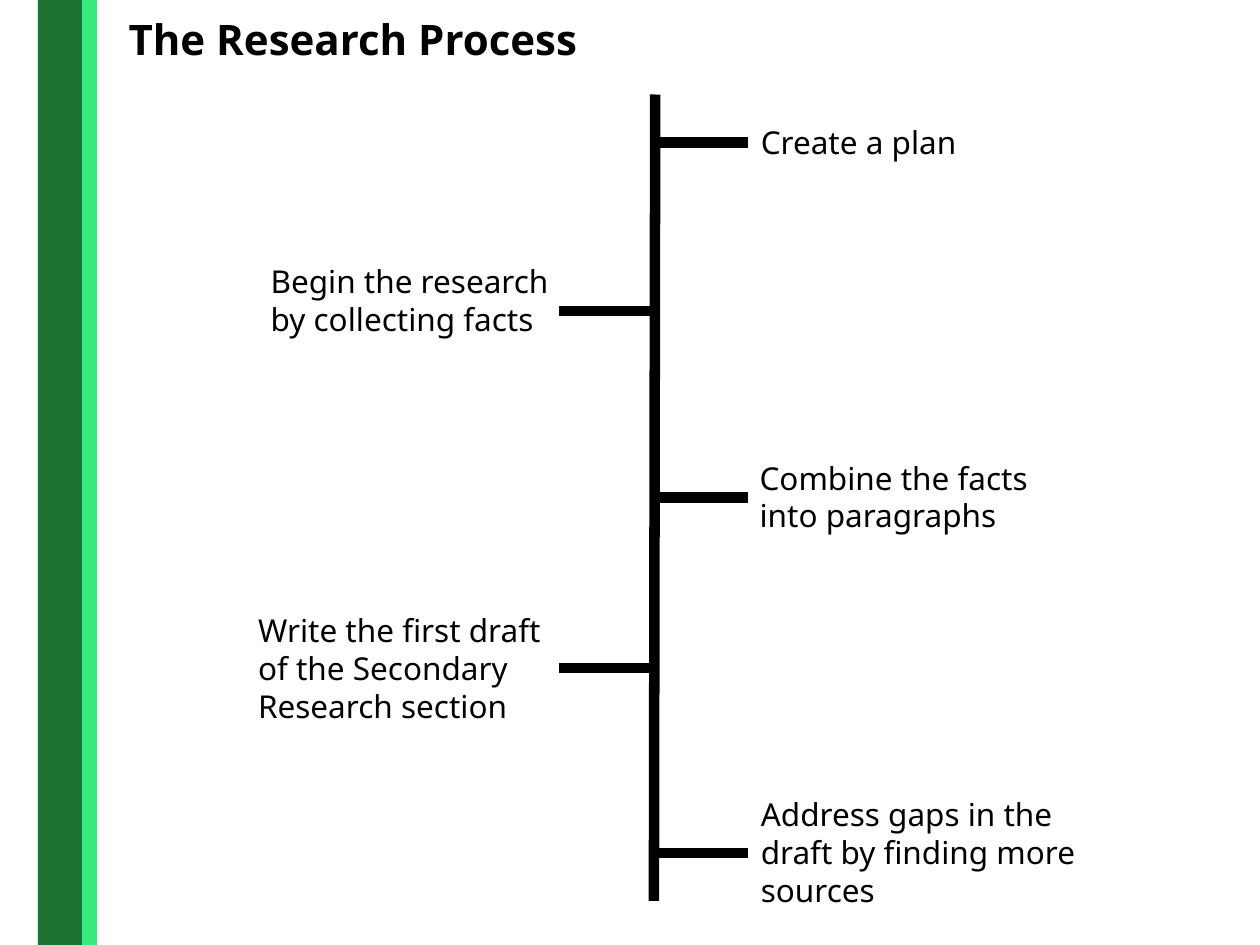
from lxml import etree
from pptx import Presentation
from pptx.dml.color import RGBColor
from pptx.enum.shapes import MSO_CONNECTOR, MSO_SHAPE
from pptx.enum.text import MSO_ANCHOR, MSO_AUTO_SIZE, PP_ALIGN
from pptx.oxml.ns import qn
from pptx.util import Pt

RECT = MSO_SHAPE.RECTANGLE
STRAIGHT = MSO_CONNECTOR.STRAIGHT
LEFT = PP_ALIGN.LEFT
TOP = MSO_ANCHOR.TOP
GROW = MSO_AUTO_SIZE.SHAPE_TO_FIT_TEXT

SCALE = 9144  # EMU per px, 100 px to the inch
COLORS = {"text": "000000", "line": "000000", "dark": "1B7332", "light": "36EA7B"}


def px(n):
    return n * SCALE


def rgb(name):
    return RGBColor.from_string(COLORS[name])


class Deck:
    font = "Noto Sans"
    line_width = 6

    def __init__(self, width, height):
        self.prs = Presentation()
        self.prs.slide_width, self.prs.slide_height = px(width), px(height)
        self.s = self.prs.slides.add_slide(self.prs.slide_layouts[5])
        self.shapes = self.s.shapes

    def group(self):
        """Put the elements that follow into a new group."""
        self.shapes = self.s.shapes.add_group_shape().shapes

    def set_text(self, sp, text, size, bold=False, wrap=True):
        tf = sp.text_frame
        tf.text = text
        tf.word_wrap = wrap
        tf.auto_size = GROW
        tf.vertical_anchor = TOP
        p = tf.paragraphs[0]
        p.alignment = LEFT
        p.font.name, p.font.size, p.font.bold = self.font, Pt(size), bold
        p.font.color.rgb = rgb("text")

    def title(self, text, x, y, w, h):
        sp = self.s.shapes.title
        sp.left, sp.top, sp.width, sp.height = map(px, (x, y, w, h))
        self.set_text(sp, text, 24, bold=True, wrap=False)

    def text(self, text, x, y, w, h):
        self.set_text(self.shapes.add_textbox(*map(px, (x, y, w, h))), text, 18)

    def bar(self, color, x, y, w, h):
        sp = self.shapes.add_shape(RECT, *map(px, (x, y, w, h)))
        sp.shadow.inherit = False
        sp.fill.solid()
        sp.fill.fore_color.rgb = rgb(color)
        sp.line.fill.background()

    def line(self, x1, y1, x2, y2):
        c = self.shapes.add_connector(STRAIGHT, *map(px, (x1, y1, x2, y2)))
        c.line.color.rgb = rgb("line")
        c.line.width = Pt(self.line_width)
        etree.SubElement(c._element.spPr, qn("a:effectLst"))


# Steps: text, box (x, y, w, h), branch height, branch end
RIGHT_END, LEFT_END, AXIS = 594, 444, 519
STEPS = [
    ("Create a plan", (594, 93, 210, 40), 113, RIGHT_END),
    ("Begin the research by collecting facts", (205, 203, 244, 71), 247, LEFT_END),
    ("Combine the facts into paragraphs", (593, 359, 282, 71), 395, RIGHT_END),
    ("Write the first draft of the Secondary Research section",
     (195, 480, 264, 101), 530, LEFT_END),
    ("Address gaps in the draft by finding more sources",
     (594, 626, 307, 101), 677, RIGHT_END),
]


def main():
    deck = Deck(1000, 750)
    deck.title("The Research Process", 92, 6, 390, 50)

    # Side stripes
    deck.group()
    deck.bar("light", 30, 0, 47, 750)
    deck.bar("dark", 30, 0, 35, 750)

    # Timeline with its branches
    deck.group()
    deck.line(AXIS + 1, 75, AXIS, 715)
    for text, box, y, end in STEPS:
        deck.text(text, *box)
        deck.line(end, y, AXIS, y)

    deck.prs.save("out.pptx")


if __name__ == "__main__":
    main()
